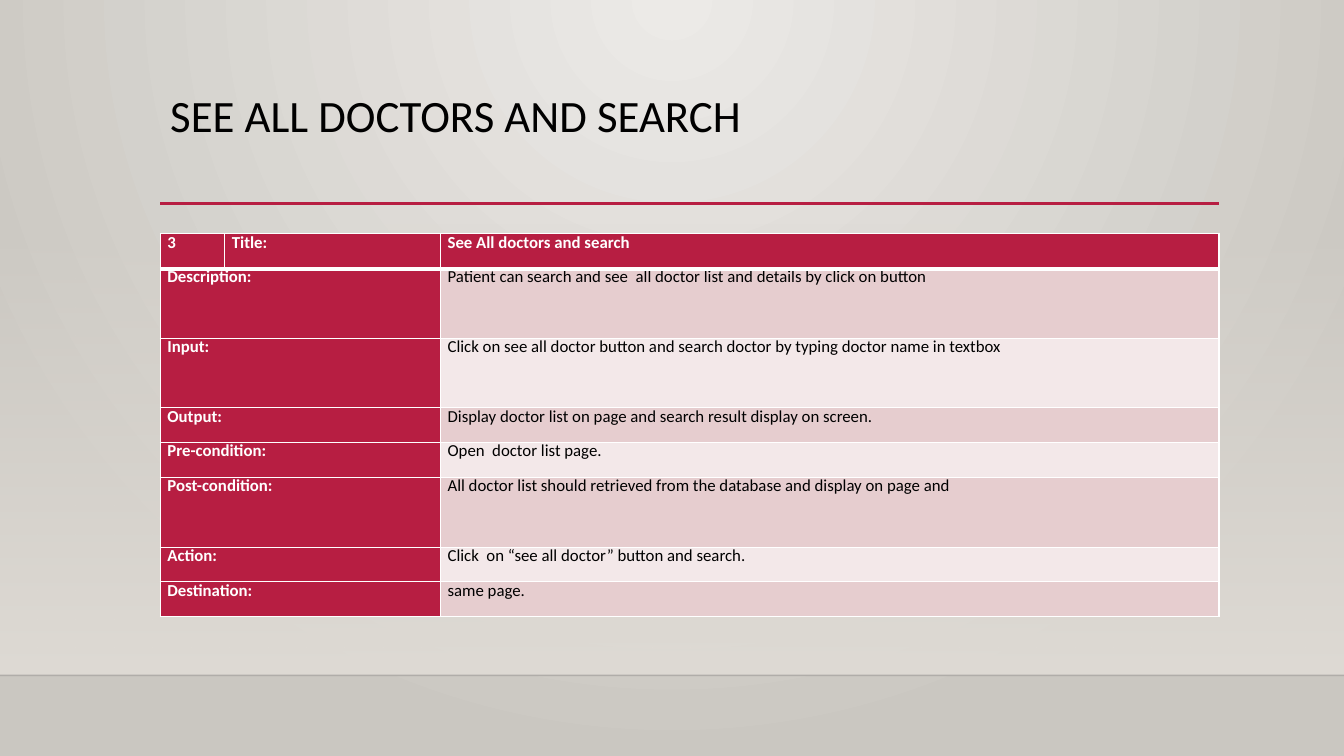
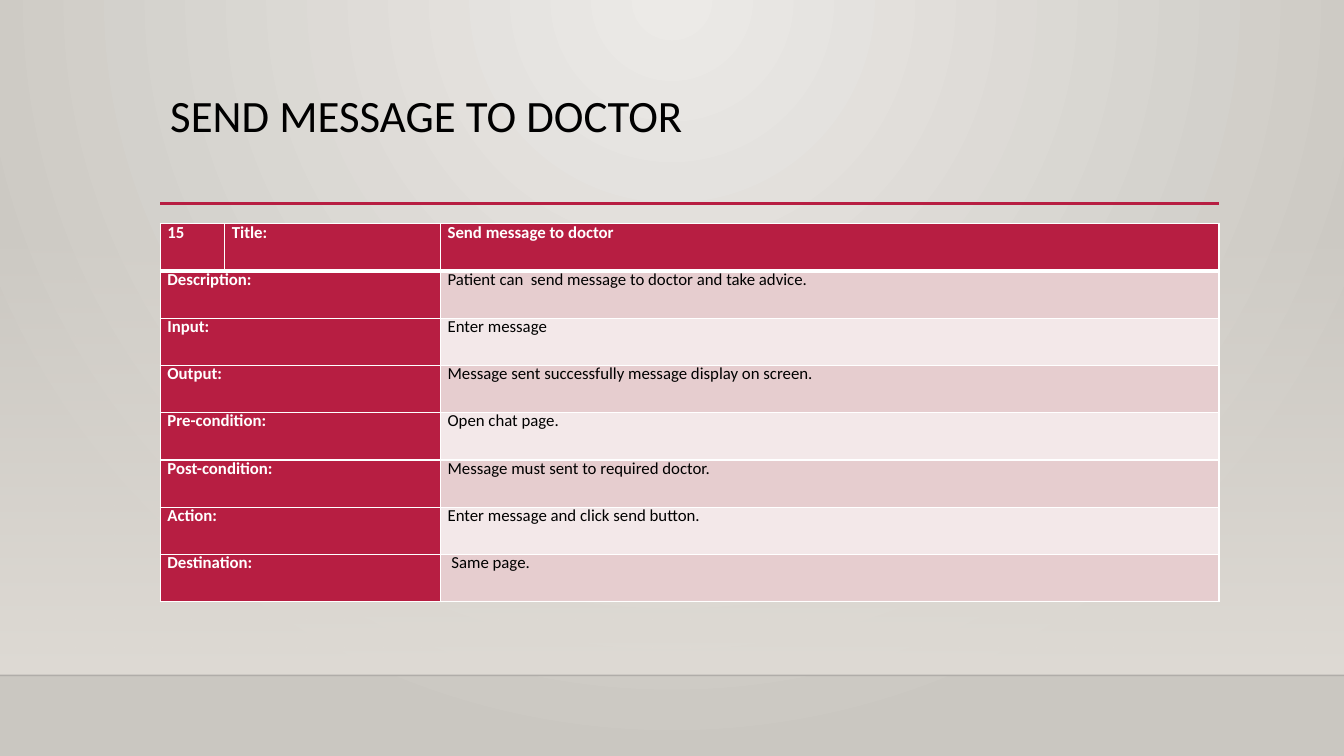
from dataclasses import dataclass

from lxml.etree import SubElement
from pptx import Presentation
from pptx.dml.color import RGBColor as Rgb
from pptx.enum.shapes import MSO_CONNECTOR as Link, MSO_SHAPE as Shape
from pptx.enum.text import MSO_ANCHOR as Anchor, PP_ALIGN as Align
from pptx.oxml.ns import qn
from pptx.util import Inches, Pt

FONT = "Calibri"
COLOR = {
    "light": "ECEAE7", "edge": "CAC7C1", "band": "DFDBD5", "floor": "000001",
    "red": "B71E42", "dark": "E6CDCF", "pale": "F3E8E9",
    "white": "FFFFFF", "black": "000000",
}
WIDE, HIGH = 13.33, 7.5
LEFT, WIDTH = 1.59, 10.5
COLS = (0.64, 2.14, 7.72)
LABELS = ("Description:", "Input:", "Output:", "Pre-condition:",
          "Post-condition:", "Action:", "Destination:")


@dataclass
class Case:
    """One use case; each weight is a row's share of the table height."""
    head: str
    num: str
    title: str
    texts: tuple[str, ...]
    top: float
    height: float
    weights: tuple[int, ...]


CASES = (
    Case("SEE ALL DOCTORS AND SEARCH", "3", "See All doctors and search", (
        "Patient can search and see  all doctor list and details by click on button",
        "Click on see all doctor button and search doctor by typing doctor name in textbox",
        "Display doctor list on page and search result display on screen.",
        "Open  doctor list page.",
        "All doctor list should retrieved from the database and display on page and",
        "Click  on “see all doctor” button and search.",
        "same page.",
    ), 2.32, 3.8, (1, 2, 2, 1, 1, 2, 1, 1)),
    Case("SEND MESSAGE TO DOCTOR", "15", "Send message to doctor", (
        "Patient can  send message to doctor and take advice.",
        "Enter message",
        "Message sent successfully message display on screen.",
        "Open chat page.",
        "Message must sent to required doctor.",
        "Enter message and click send button.",
        " Same page.",
    ), 2.22, 3.75, (1,) * 8),
)


def rgb(name: str) -> Rgb:
    return Rgb.from_string(COLOR[name])


def fade(node, share: int) -> None:
    """Set the opacity, in percent, of the first plain colour in node."""
    SubElement(node.find(".//" + qn("a:srgbClr")), qn("a:alpha"), val=str(share * 1000))


def blend(fill, first: str, last: str) -> None:
    fill.gradient()
    for stop, name in zip(fill.gradient_stops, (first, last)):
        stop.color.rgb = rgb(name)


def set_back(master) -> None:
    """Give the master a round gradient centred on the top edge."""
    blend(master.background.fill, "light", "edge")
    grad = master.element.find(".//" + qn("p:bg") + "//" + qn("a:gradFill"))
    grad.remove(grad.find(qn("a:lin")))
    ring = SubElement(grad, qn("a:path"), path="circle")
    SubElement(ring, qn("a:fillToRect"), l="43000", t="0", r="43000", b="100000")


def add_rule(slide, left: float, top: float, width: float, name: str, size: float):
    rule = slide.shapes.add_connector(
        Link.STRAIGHT, Inches(left), Inches(top), Inches(left + width), Inches(top))
    rule.line.color.rgb = rgb(name)
    rule.line.width = Pt(size)
    SubElement(rule.element.spPr, qn("a:effectLst"))
    return rule


def add_frame(slide) -> None:
    """Draw the band, the floor line and the rule under the title."""
    band = slide.shapes.add_shape(
        Shape.RECTANGLE, 0, Inches(2.21), Inches(WIDE), Inches(4.49))
    band.shadow.inherit = False
    band.line.fill.background()
    blend(band.fill, "band", "band")
    band.fill.gradient_angle = 270
    fade(band.element.spPr, 0)
    floor = add_rule(slide, 0, 6.7, WIDE, "floor", 1)
    fade(floor.element.spPr, 20)
    add_rule(slide, LEFT, 2.02, WIDTH, "red", 2.5)


def add_title(slide, text: str) -> None:
    box = slide.shapes.add_textbox(Inches(LEFT), Inches(0.88), Inches(WIDTH), Inches(1.15))
    frame = box.text_frame
    frame.word_wrap = True
    frame.vertical_anchor = Anchor.TOP
    para = frame.paragraphs[0]
    para.text = text
    para.line_spacing = 0.9
    para.font.name, para.font.size = FONT, Pt(32)
    para.font.color.rgb = rgb("black")


def add_edge(cell, side: str, size: float) -> None:
    line = SubElement(cell._tc.get_or_add_tcPr(), qn("a:ln" + side), w=str(Pt(size)))
    paint = SubElement(line, qn("a:solidFill"))
    SubElement(paint, qn("a:srgbClr"), val=COLOR["white"])


def style_cell(cell, row: int, fill: str) -> None:
    """Set borders, fill and margins; the line below row 0 is thick."""
    sizes = {"L": 1, "R": 1, "T": 3 if row == 1 else 1, "B": 3 if row == 0 else 1}
    for side, size in sizes.items():
        add_edge(cell, side, size)
    cell.fill.solid()
    cell.fill.fore_color.rgb = rgb(fill)
    cell.margin_left = cell.margin_right = Inches(0.07)
    cell.margin_top = cell.margin_bottom = 0


def write_cell(cell, text: str, bold: bool) -> None:
    para = cell.text_frame.paragraphs[0]
    para.text = text
    para.alignment = Align.JUSTIFY
    para.line_spacing, para.space_after = Pt(13.4), Pt(6)
    font = para.font
    font.name, font.size, font.bold = FONT, Pt(12), bold
    font.color.rgb = rgb("white" if bold else "black")


def add_grid(slide, case: Case) -> None:
    rows = [(case.num, "Title:", case.title)]
    rows += [(label, "", text) for label, text in zip(LABELS, case.texts)]
    grid = slide.shapes.add_table(
        len(rows), len(COLS), Inches(LEFT), Inches(case.top),
        Inches(WIDTH), Inches(case.height)).table
    grid.first_row = grid.horz_banding = False
    for col, width in zip(grid.columns, COLS):
        col.width = Inches(width)
    for r, (row, weight) in enumerate(zip(rows, case.weights)):
        grid.rows[r].height = Inches(case.height * weight / sum(case.weights))
        for c, text in enumerate(row):
            cell = grid.cell(r, c)
            bold = r == 0 or c < 2
            style_cell(cell, r, "red" if bold else "dark" if r % 2 else "pale")
            if text:
                write_cell(cell, text, bold)
        if r:
            grid.cell(r, 0).merge(grid.cell(r, 1))


def main() -> None:
    deck = Presentation()
    deck.slide_width, deck.slide_height = Inches(WIDE), Inches(HIGH)
    set_back(deck.slide_master)
    for case in CASES:
        slide = deck.slides.add_slide(deck.slide_layouts[6])
        add_frame(slide)
        add_title(slide, case.head)
        add_grid(slide, case)
    deck.save("out.pptx")


if __name__ == "__main__":
    main()
